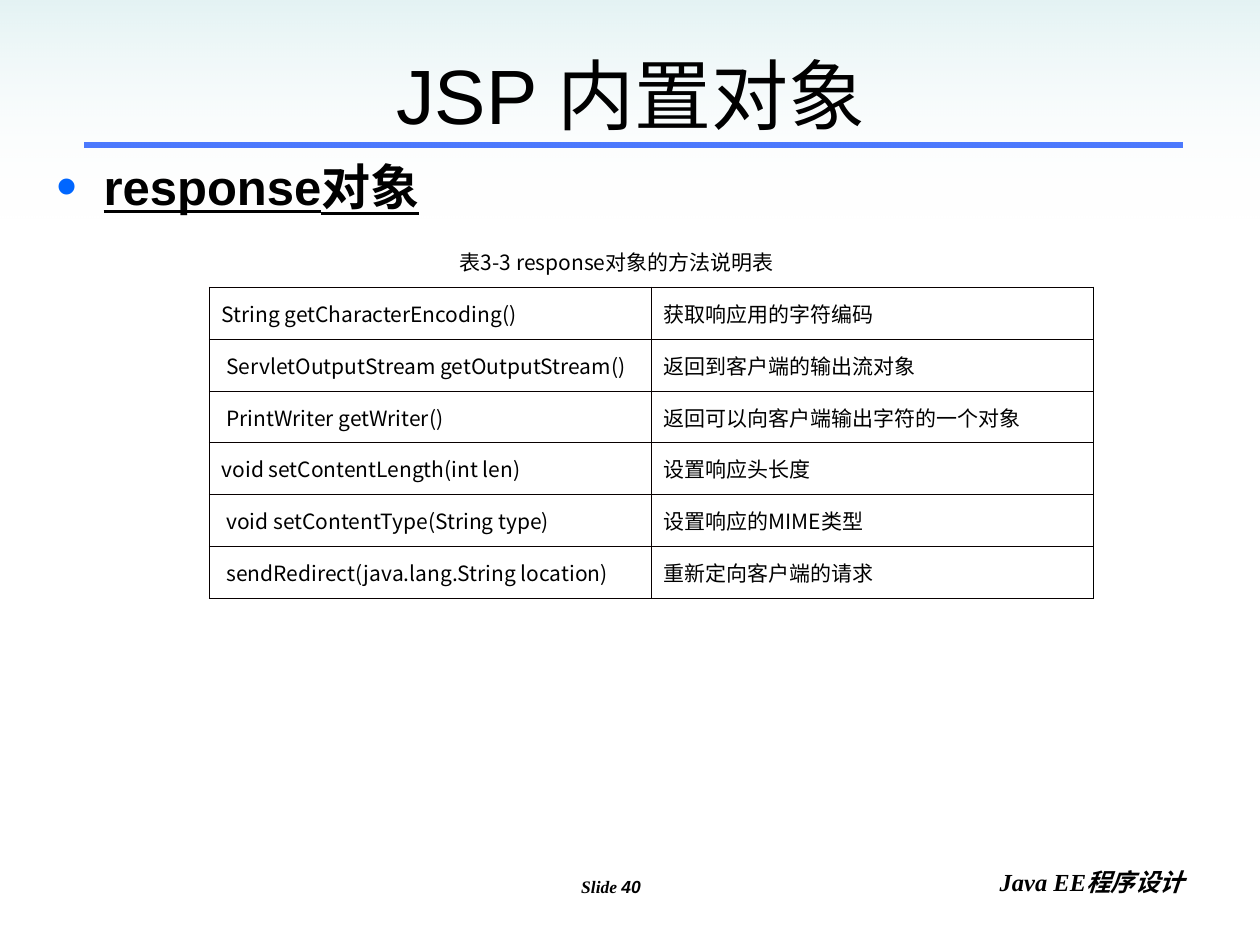
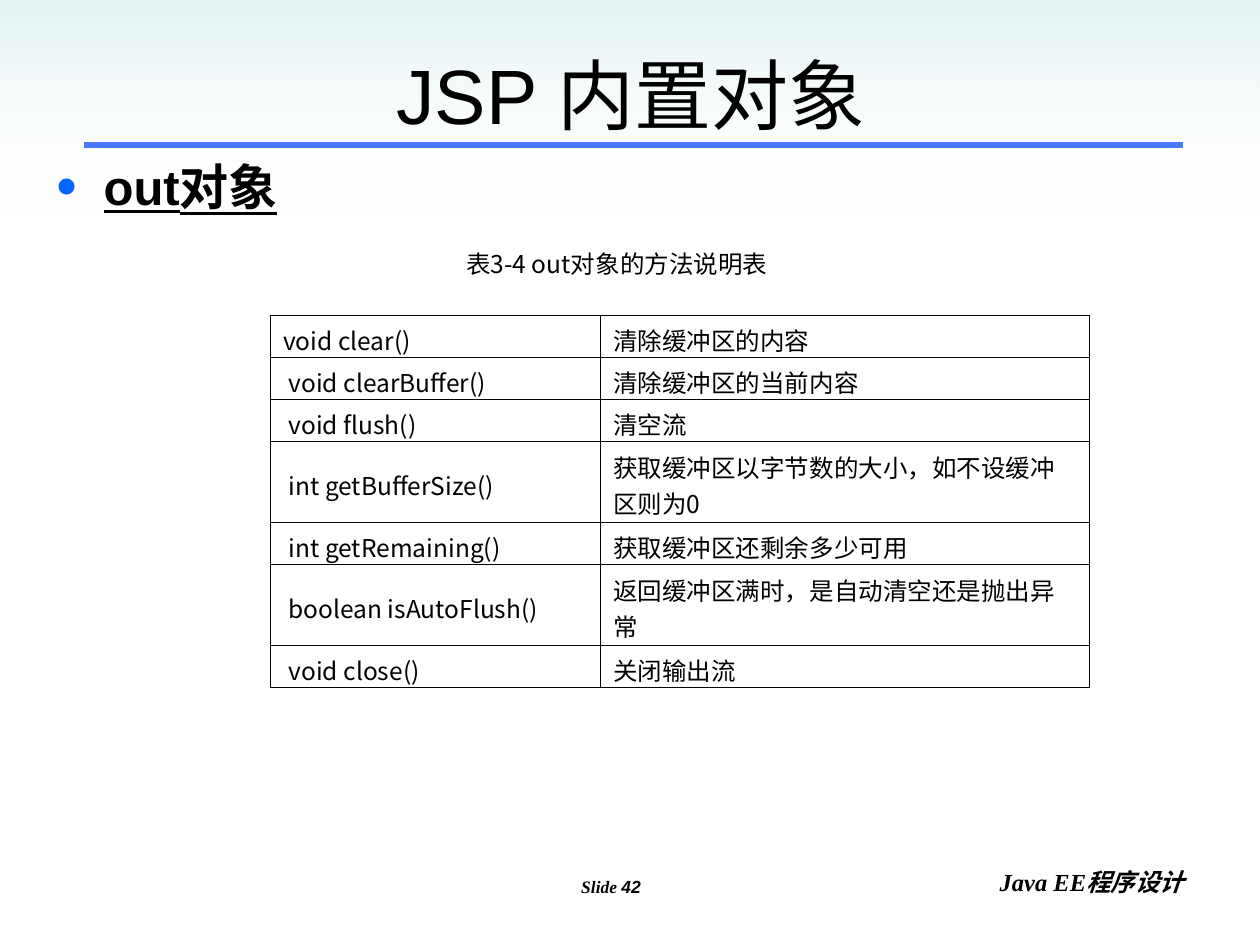
import pptx
import pptx.dml.color
import pptx.enum.shapes
import pptx.enum.text
import pptx.oxml.ns
import pptx.util
from lxml import etree

Pt = pptx.util.Pt
ALIGN = pptx.enum.text.PP_ALIGN
MIDDLE = pptx.enum.text.MSO_ANCHOR.MIDDLE
TOP = pptx.enum.text.MSO_ANCHOR.TOP

BLACK, WHITE = "000000", "FFFFFF"
RULE_BLUE, BULLET_BLUE, BAND_TEAL = "3366FF", "0066FF", "BBE0E3"
BORDER = "080000"
SANS, SERIF, CHINESE = "Arial", "Times New Roman", "Noto Sans CJK SC"


def color(hex_string):
    return pptx.dml.color.RGBColor.from_string(hex_string)


def add_xml(parent, tag, **attributes):
    return etree.SubElement(parent, pptx.oxml.ns.qn(tag), attributes)


class Deck:
    """Holds the presentation, its style and the current slide."""

    def __init__(self):
        self.presentation = pptx.Presentation()
        self.presentation.slide_width = Pt(720)
        self.presentation.slide_height = Pt(540)
        self.slide = None

    def new_slide(self, number, topic):
        layout = self.presentation.slide_layouts[6]
        self.slide = self.presentation.slides.add_slide(layout)
        self.slide.background.fill.solid()
        self.slide.background.fill.fore_color.rgb = color(WHITE)
        # Footers
        footer = self.text(265.3, 496.8, 167.76, 37.44, ALIGN.CENTER)
        self.run(footer, "Slide ", 10, SERIF, bold=True, italic=True)
        self.run(footer, str(number), 10, SANS, bold=True, italic=True)
        course = self.text(516.24, 491.76, 167.76, 37.44, ALIGN.RIGHT)
        self.run(course, "Java EE程序设计", 14, SERIF, bold=True, italic=True)
        # Rule, band and title
        self.rule(48.24, 676.08, 82.8)
        self.band(720, 126)
        title = self.text(36.72, 20.16, 648, 66.96, ALIGN.CENTER, MIDDLE)
        self.run(title, "JSP 内置对象", 44, SANS)
        # Topic
        paragraph = self.text(25.2, 82.8, 660.24, 402.48)
        self.bullet(paragraph)
        self.run(paragraph, topic, 28, SANS, bold=True, underline=True)

    def run(self, paragraph, text, size, font, bold=False, italic=False, underline=False):
        run = paragraph.add_run()
        run.text = text
        run.font.size = Pt(size)
        run.font.name = font
        run.font.bold = bold
        run.font.italic = italic
        run.font.underline = underline
        run.font.color.rgb = color(BLACK)
        add_xml(run.font._element, "a:ea", typeface=CHINESE)

    def text(self, left, top, width, height, alignment=ALIGN.LEFT, anchor=TOP):
        box = self.slide.shapes.add_textbox(Pt(left), Pt(top), Pt(width), Pt(height))
        frame = box.text_frame
        frame.word_wrap = True
        frame.vertical_anchor = anchor
        paragraph = frame.paragraphs[0]
        paragraph.alignment = alignment
        return paragraph

    def bullet(self, paragraph):
        paragraph.line_spacing = 1.1
        paragraph.space_before = Pt(7)
        properties = paragraph._p.get_or_add_pPr()
        properties.set("marL", str(Pt(27)))
        properties.set("indent", str(-Pt(27)))
        bullet_color = add_xml(properties, "a:buClr")
        add_xml(bullet_color, "a:srgbClr", val=BULLET_BLUE)
        add_xml(properties, "a:buSzPct", val="120000")
        add_xml(properties, "a:buFont", typeface=SANS)
        add_xml(properties, "a:buChar", char="•")

    def rule(self, left, right, top):
        line = self.slide.shapes.add_connector(
            pptx.enum.shapes.MSO_CONNECTOR.STRAIGHT, Pt(left), Pt(top), Pt(right), Pt(top))
        line.line.color.rgb = color(RULE_BLUE)
        line.line.width = Pt(3)
        add_xml(line._element.spPr, "a:effectLst")

    def band(self, width, height):
        band = self.slide.shapes.add_shape(
            pptx.enum.shapes.MSO_SHAPE.RECTANGLE, 0, 0, Pt(width), Pt(height))
        band.shadow.inherit = False
        band.line.fill.background()
        band.fill.gradient()
        band.fill.gradient_angle = 270
        for stop, shade in zip(band.fill.gradient_stops, (BAND_TEAL, WHITE)):
            stop.color.rgb = color(shade)
        opacities = ("40000", "0")
        for node, opacity in zip(band._element.spPr.iter(pptx.oxml.ns.qn("a:srgbClr")), opacities):
            add_xml(node, "a:alpha", val=opacity)

    def caption(self, text, size):
        paragraph = self.text(114.48, 138.96, 475.92, 24, ALIGN.CENTER)
        self.run(paragraph, text, size, CHINESE)

    def borders(self, cell, last_column):
        properties = cell._tc.get_or_add_tcPr()
        for index, side in enumerate(("L", "R", "T", "B")):
            outer = side == "R" and last_column
            width = Pt(0.34 if outer else 0.45)
            line = add_xml(properties, "a:ln" + side, w=str(width))
            fill = add_xml(line, "a:solidFill")
            add_xml(fill, "a:srgbClr", val=BLACK if outer else BORDER)
            properties.insert(index, line)

    def table(self, left, top, widths, heights, rows, size, bottom_margin):
        table = self.slide.shapes.add_table(
            len(rows), len(widths), Pt(left), Pt(top), Pt(sum(widths)), Pt(sum(heights))).table
        table.first_row = False
        table.horz_banding = False
        for column, width in zip(table.columns, widths):
            column.width = Pt(width)
        for row, height, texts in zip(table.rows, heights, rows):
            row.height = Pt(height)
            for index, (cell, text) in enumerate(zip(row.cells, texts)):
                cell.vertical_anchor = MIDDLE
                cell.margin_bottom = Pt(bottom_margin)
                cell.fill.background()
                self.borders(cell, index == len(widths) - 1)
                self.run(cell.text_frame.paragraphs[0], text, size, CHINESE)


RESPONSE_METHODS = [
    ("String getCharacterEncoding()", "获取响应用的字符编码"),
    (" ServletOutputStream getOutputStream()", "返回到客户端的输出流对象"),
    (" PrintWriter getWriter()", "返回可以向客户端输出字符的一个对象"),
    ("void setContentLength(int len)", "设置响应头长度"),
    (" void setContentType(String type)", "设置响应的MIME类型"),
    (" sendRedirect(java.lang.String location)", "重新定向客户端的请求"),
]
OUT_METHODS = [
    ("void clear()", "清除缓冲区的内容"),
    (" void clearBuffer()", "清除缓冲区的当前内容"),
    (" void flush()", "清空流"),
    (" int getBufferSize()", "获取缓冲区以字节数的大小，如不设缓冲区则为0"),
    (" int getRemaining()", "获取缓冲区还剩余多少可用"),
    (" boolean isAutoFlush()", "返回缓冲区满时，是自动清空还是抛出异常"),
    (" void close()", "关闭输出流"),
]


def main():
    deck = Deck()

    # Methods of the response object
    deck.new_slide(40, "response对象")
    deck.caption("表3-3 response对象的方法说明表", 12)
    deck.table(119.52, 164, [252.6] * 2, [29.7] * len(RESPONSE_METHODS),
               RESPONSE_METHODS, 12, 3.6)

    # Methods of the out object, two of them with two lines of text
    deck.new_slide(42, "out对象")
    deck.caption("表3-4 out对象的方法说明表", 14)
    one_line, two_lines = 24, 46.3
    heights = [two_lines if len(meaning) > 18 else one_line for _, meaning in OUT_METHODS]
    deck.table(154.6, 180.2, [188.6, 279.4], heights, OUT_METHODS, 14, 0)

    deck.presentation.save("out.pptx")


if __name__ == "__main__":
    main()
